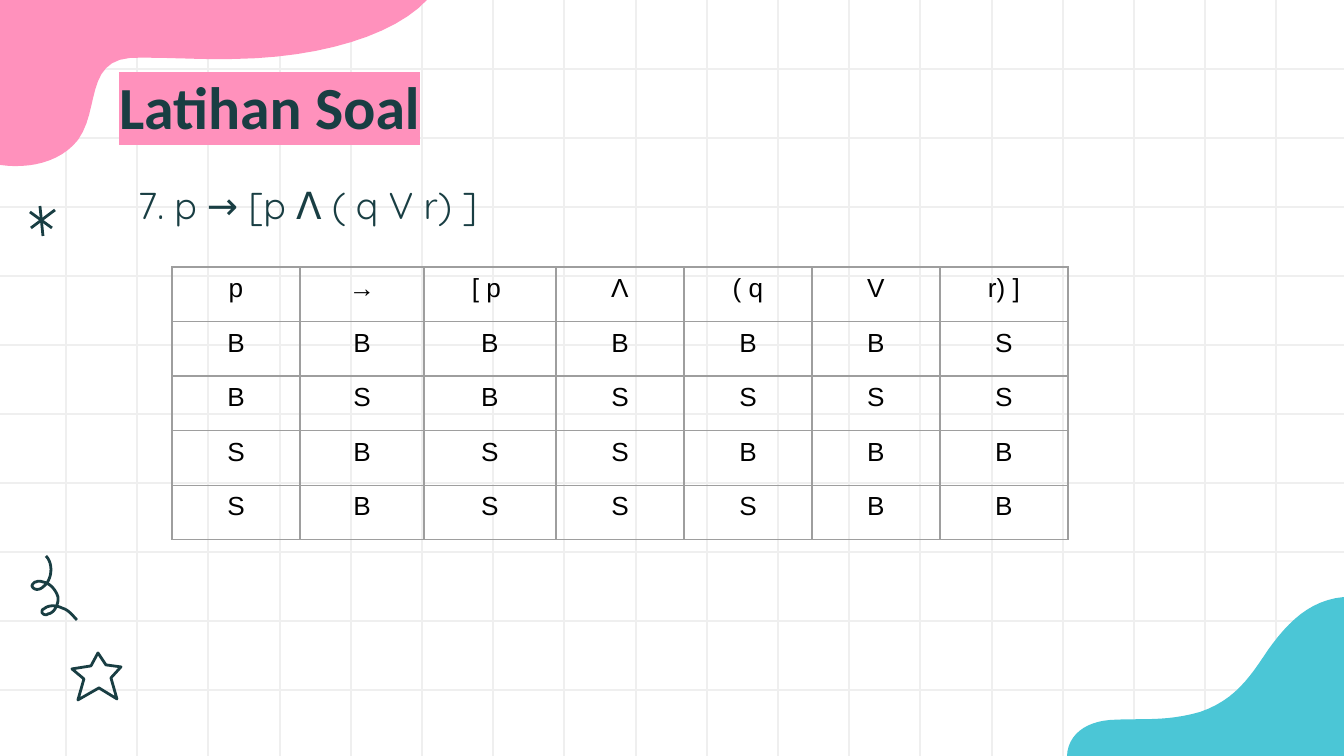
from lxml import etree
from pptx import Presentation
from pptx.dml.color import RGBColor
from pptx.enum.shapes import MSO_CONNECTOR as CONN
from pptx.enum.text import MSO_ANCHOR as ANCHOR, MSO_AUTO_SIZE as AUTO, PP_ALIGN as ALIGN
from pptx.oxml.ns import qn
from pptx.util import Emu, Pt

WIDTH, HEIGHT = 1344, 756
SCALE = 914400 / 134.4

WHITE = RGBColor(0xFF, 0xFF, 0xFF)
BLACK = RGBColor(0, 0, 0)
INK = RGBColor(0x19, 0x3E, 0x43)
PINK = RGBColor(0xFF, 0x91, 0xBC)
TEAL = RGBColor(0x4B, 0xC6, 0xD6)
GRID = RGBColor(0xEF, 0xEF, 0xEF)
BORDER = RGBColor(0x9E, 0x9E, 0x9E)

PINK_BLOB = [(427, 0),
             (395, 35, 320, 58, 235, 59), (200, 60, 165, 57, 130, 58),
             (85, 62, 100, 110, 78, 140), (60, 163, 28, 169, 0, 165), (0, 0)]
TEAL_BLOB = [(1344, 597),
             (1310, 600, 1288, 622, 1268, 650), (1250, 677, 1235, 700, 1200, 712),
             (1165, 722, 1140, 718, 1110, 720), (1085, 722, 1068, 735, 1067, 756),
             (1344, 756)]
SQUIGGLE = [(46, 556),
            (54, 564, 52, 581, 43, 587), (40, 590, 34, 591, 32, 586),
            (32, 585, 34, 582, 36, 582), (38, 581, 40, 581, 43, 582),
            (50, 583, 56, 590, 58, 597), (59, 603, 55, 613, 48, 614),
            (46, 616, 42, 614, 42, 612), (42, 610, 43, 609, 44, 609),
            (48, 605, 56, 605, 62, 608), (69, 610, 73, 616, 77, 620)]
STAR = [(98, 653), (106, 665), (121, 667), (111, 678), (117, 699),
        (99, 688), (78, 700), (84, 679), (72, 669), (91, 666)]
ASTERISK = [(30, 212, 52, 228), (31, 228, 55, 210), (40, 206, 43, 236)]

COLUMNS = [128, 124, 132, 128, 128, 128, 128]
TABLE_HEIGHT = 273
TRUTH = [["p", "→", "[ p ", "Λ", "( q", "V", "r) ]"],
         *map(list, ["BBBBBBS", "BSBSSSS", "SBSSBBB", "SBSSSBB"])]


def px(n):
    return Emu(round(n * SCALE))


def add_line(s, x1, y1, x2, y2, color, width):
    line = s.shapes.add_connector(CONN.STRAIGHT, px(x1), px(y1), px(x2), px(y2))
    line.line.color.rgb = color
    line.line.width = Pt(width)
    etree.SubElement(line._element.spPr, qn("a:effectLst"))


def flatten(path, steps=12):
    points = [path[0]]
    for seg in path[1:]:
        if len(seg) == 2:
            points.append(seg)
            continue
        a, (b, c, d) = points[-1], zip(seg[::2], seg[1::2])
        for t in (i / steps for i in range(1, steps + 1)):
            u = 1 - t
            points.append(tuple(
                u**3 * a[k] + 3 * u * u * t * b[k] + 3 * u * t * t * c[k] + t**3 * d[k]
                for k in (0, 1)))
    return points


def add_outline(s, path, fill=None, line=None, close=True):
    points = [(px(x), px(y)) for x, y in flatten(path)]
    builder = s.shapes.build_freeform(*points[0])
    builder.add_line_segments(points[1:], close=close)
    sp = builder.convert_to_shape()
    sp.shadow.inherit = False
    if fill is None:
        sp.fill.background()
    else:
        sp.fill.solid()
        sp.fill.fore_color.rgb = fill
    if line is None:
        sp.line.fill.background()
    else:
        sp.line.color.rgb = line
        sp.line.width = Pt(1.5)


def write(tf, text, font, size, color, align=ALIGN.LEFT, bold=False):
    tf.text = text
    p = tf.paragraphs[0]
    p.alignment = align
    r = p.runs[0]
    r.font.name, r.font.size, r.font.bold = font, Pt(size), bold
    r.font.color.rgb = color
    return r


def set_frame(sp, x, y, w, h, anchor, left=13):
    sp.left, sp.top, sp.width, sp.height = map(px, (x, y, w, h))
    tf = sp.text_frame
    tf.word_wrap = True
    tf.auto_size = AUTO.NONE
    tf.vertical_anchor = anchor
    tf.margin_left = px(left)
    tf.margin_right = tf.margin_top = tf.margin_bottom = px(13)
    return tf


def highlight(r, color):
    mark = etree.Element(qn("a:highlight"))
    etree.SubElement(mark, qn("a:srgbClr"), val=str(color))
    r.font._element.find(qn("a:solidFill")).addnext(mark)


def set_borders(cell):
    tcPr = cell._tc.get_or_add_tcPr()
    for i, side in enumerate(("lnL", "lnR", "lnT", "lnB")):
        ln = etree.Element(qn(f"a:{side}"), w=str(Pt(0.75)))
        fill = etree.SubElement(ln, qn("a:solidFill"))
        etree.SubElement(fill, qn("a:srgbClr"), val=str(BORDER))
        tcPr.insert(i, ln)


def add_truth_table(s, x, y):
    rows = len(TRUTH)
    frame = s.shapes.add_table(rows, len(COLUMNS), px(x), px(y),
                               px(sum(COLUMNS)), px(TABLE_HEIGHT))
    table = frame.table
    table.first_row = table.horz_banding = False
    for column, width in zip(table.columns, COLUMNS):
        column.width = px(width)
    for row, values in zip(table.rows, TRUTH):
        row.height = px(TABLE_HEIGHT / rows)
        for cell, value in zip(row.cells, values):
            cell.fill.background()
            set_borders(cell)
            write(cell.text_frame, value, "Arial", 14, BLACK, ALIGN.CENTER)


def add_grid(s):
    for i in range(18):
        x = round(66 + 71.2 * i)
        add_line(s, x, 0, x, HEIGHT, GRID, 0.75)
    for i in range(1, 11):
        add_line(s, 0, 69 * i, WIDTH, 69 * i, GRID, 0.75)


def add_decorations(s):
    add_outline(s, PINK_BLOB, fill=PINK)
    add_outline(s, TEAL_BLOB, fill=TEAL)
    for stroke in ASTERISK:
        add_line(s, *stroke, INK, 1.5)
    add_outline(s, SQUIGGLE, line=INK, close=False)
    add_outline(s, STAR, line=INK)


def add_heading(s):
    title = s.shapes.title
    tf = set_frame(title, 106, 78, 1133, 55, ANCHOR.MIDDLE)
    highlight(write(tf, "Latihan Soal", "Calibri", 32, INK, bold=True), PINK)
    s.shapes._spTree.append(title._element)


def add_formula(s):
    box = s.shapes.add_textbox(0, 0, 0, 0)
    tf = set_frame(box, 108, 169, 1133, 59, ANCHOR.TOP, left=30)
    write(tf, "7. p → [p Λ ( q V r) ]", "Quicksand", 20, INK)


def main():
    prs = Presentation()
    prs.slide_width, prs.slide_height = px(WIDTH), px(HEIGHT)
    s = prs.slides.add_slide(prs.slide_layouts[5])
    s.background.fill.solid()
    s.background.fill.fore_color.rgb = WHITE
    add_grid(s)
    add_decorations(s)
    add_heading(s)
    add_formula(s)
    add_truth_table(s, 172, 267)
    prs.save("out.pptx")


main()
